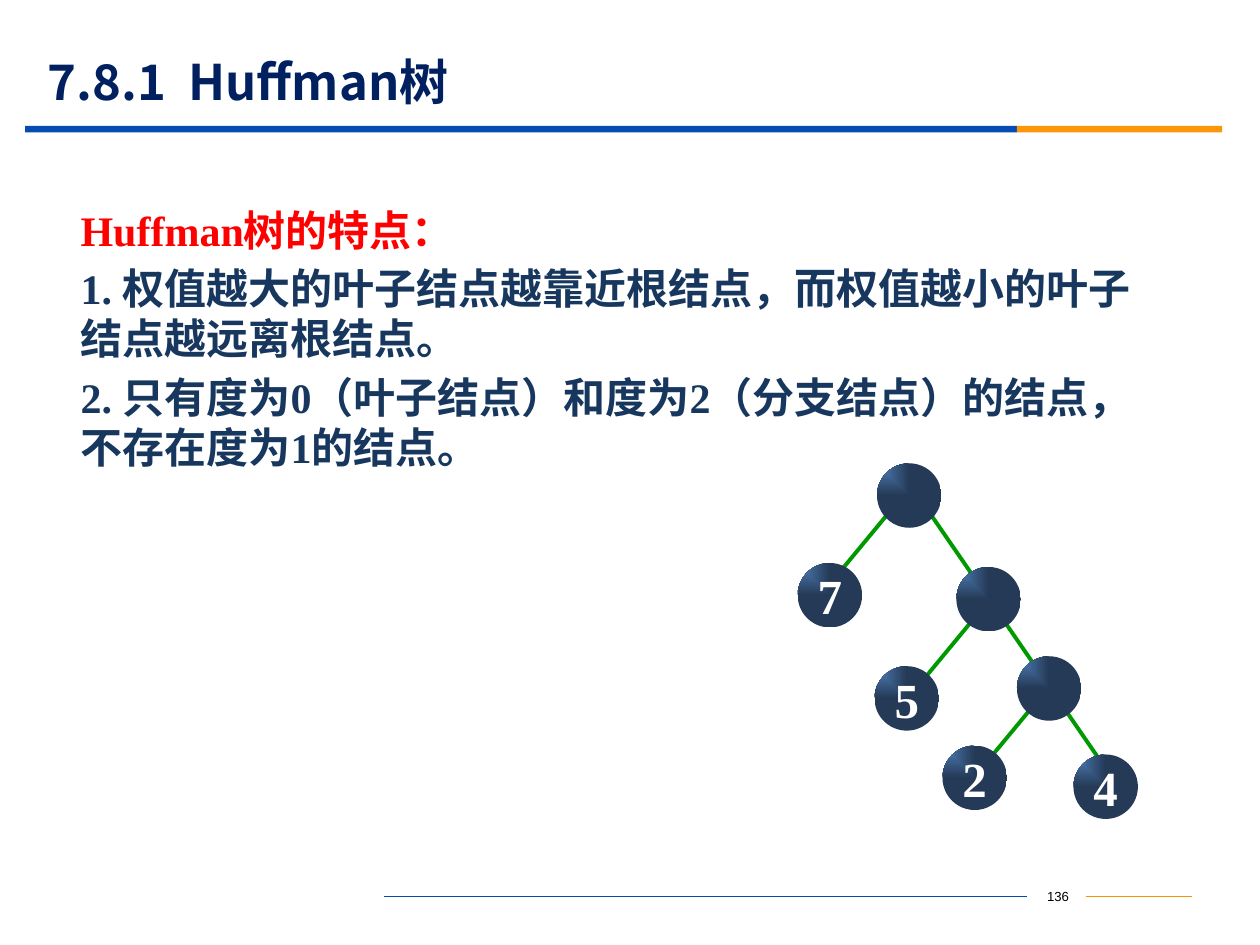
from lxml import etree
from pptx import Presentation
from pptx import util as u
from pptx.dml.color import RGBColor
from pptx.enum import shapes, text
from pptx.oxml import ns

HUES = {
    "navy": "002060", "ink": "17375E", "red": "FF0000", "black": "000000",
    "white": "FFFFFF", "blue": "064BB2", "gold": "FB9708", "amber": "F19500",
    "green": "009900", "light": "4F81BD", "dark": "253A56",
}
HAN = "Noto Sans CJK SC"
SERIF = "Times New Roman"
SIZE = 1.3  # node diameter

# centre x, centre y, weight
NODES = [
    (18.33, 9.99, ""), (19.93, 12.08, ""), (21.15, 13.88, ""),
    (16.73, 12.0, "7"), (18.28, 14.08, "5"),
    (19.65, 15.68, "2"), (22.29, 15.86, "4"),
]
LEFTS = [(17.98, 10.26), (19.69, 12.4), (20.96, 14.07)]  # left branch starts
STEP = (-1.05, 1.27)

POINTS = [
    ("Huffman树的特点：", "red"),
    ("1. 权值越大的叶子结点越靠近根结点，而权值越小的叶子结点越远离根结点。", "ink"),
    ("2. 只有度为0（叶子结点）和度为2（分支结点）的结点，不存在度为1的结点。", "ink"),
]


def rgb(hue):
    return RGBColor.from_string(HUES[hue])


def sub(node, tag, **attrs):
    return etree.SubElement(node, ns.qn(tag), **attrs)


def place(shape, *box):
    shape.left, shape.top, shape.width, shape.height = map(u.Cm, box)


def style(para, size, hue, font, bold=True):
    for run in para.runs:
        run.font.size = u.Pt(size)
        run.font.bold = bold
        run.font.name = font
        run.font.color.rgb = rgb(hue)
        sub(run.font._element, "a:ea", typeface=HAN)


def add_title(slide):
    title = slide.shapes.title
    place(title, 0.71, 1.09, 22.86, 1.09)
    frame = title.text_frame
    frame.text = "7.8.1  Huffman树"
    frame.auto_size = text.MSO_AUTO_SIZE.NONE
    frame.vertical_anchor = text.MSO_ANCHOR.MIDDLE
    para = frame.paragraphs[0]
    para.alignment = text.PP_ALIGN.LEFT
    style(para, 28, "navy", HAN)


def add_body(slide):
    body = slide.placeholders[1]
    place(body, 1.37, 4.0, 22.2, 6.0)
    frame = body.text_frame
    frame.text = "\n".join(words for words, _ in POINTS)
    frame.auto_size = text.MSO_AUTO_SIZE.NONE
    for i, (para, (_, hue)) in enumerate(zip(frame.paragraphs, POINTS)):
        props = para._p.get_or_add_pPr()
        props.set("marL", "0")
        props.set("indent", "0")
        sub(props, "a:buNone")
        para.line_spacing = u.Pt(28.6)
        para.space_before = u.Pt(4.8 if i else 0)
        style(para, 24, hue, SERIF)


def add_bar(slide, left, width, hue):
    bar = slide.shapes.add_shape(
        shapes.MSO_SHAPE.RECTANGLE, *map(u.Cm, (left, 2.54, width, 0.13)))
    bar.shadow.inherit = False
    bar.fill.solid()
    bar.fill.fore_color.rgb = rgb(hue)
    bar.line.fill.background()


def add_line(slide, start, end, hue, width):
    line = slide.shapes.add_connector(
        shapes.MSO_CONNECTOR.STRAIGHT, *map(u.Cm, (*start, *end)))
    line.line.color.rgb = rgb(hue)
    line.line.width = u.Pt(width)
    sub(line._element.spPr, "a:effectLst")


def shade(fill):
    """Gradient that spreads from the top left corner."""
    fill.gradient()
    for stop, hue in zip(fill.gradient_stops, ("light", "dark")):
        stop.color.rgb = rgb(hue)
    grad = fill._xPr.find(ns.qn("a:gradFill"))
    grad.remove(grad.find(ns.qn("a:lin")))
    way = sub(grad, "a:path", path="rect")
    sub(way, "a:fillToRect", r="100000", b="100000")


def add_node(slide, x, y, label):
    node = slide.shapes.add_shape(
        shapes.MSO_SHAPE.OVAL,
        *map(u.Cm, (x - SIZE / 2, y - SIZE / 2, SIZE, SIZE)))
    node.shadow.inherit = False
    shade(node.fill)
    node.line.fill.background()
    if label:
        add_label(node.text_frame, label, 28, "white", SERIF)


def add_label(frame, words, size, hue, font, bold=True):
    frame.margin_left = frame.margin_right = 0
    frame.margin_top = frame.margin_bottom = 0
    frame.word_wrap = False
    frame.vertical_anchor = text.MSO_ANCHOR.MIDDLE
    frame.text = words
    para = frame.paragraphs[0]
    para.alignment = text.PP_ALIGN.CENTER
    style(para, size, hue, font, bold)


def add_tree(slide):
    for x, y in LEFTS:
        add_line(slide, (x, y), (x + STEP[0], y + STEP[1]), "green", 2.25)
    add_line(slide, (18.39, 9.83), (22.15, 15.29), "green", 2.25)
    for node in NODES:
        add_node(slide, *node)


def add_foot(slide):
    y = 18.08
    add_line(slide, (7.75, y), (20.7, y), "blue", 0.75)
    add_line(slide, (21.89, y), (24.03, y), "amber", 0.75)
    box = slide.shapes.add_textbox(*map(u.Cm, (20.73, 17.75, 1.2, 0.64)))
    add_label(box.text_frame, "136", 7.5, "black", "Arial", False)


def main():
    deck = Presentation()
    deck.slide_width, deck.slide_height = u.Cm(25.4), u.Cm(19.05)
    slide = deck.slides.add_slide(deck.slide_layouts[1])
    add_bar(slide, 0.51, 19.99, "blue")
    add_bar(slide, 20.5, 4.14, "gold")
    add_title(slide)
    add_body(slide)
    add_tree(slide)
    add_foot(slide)
    deck.save("out.pptx")


if __name__ == "__main__":
    main()
